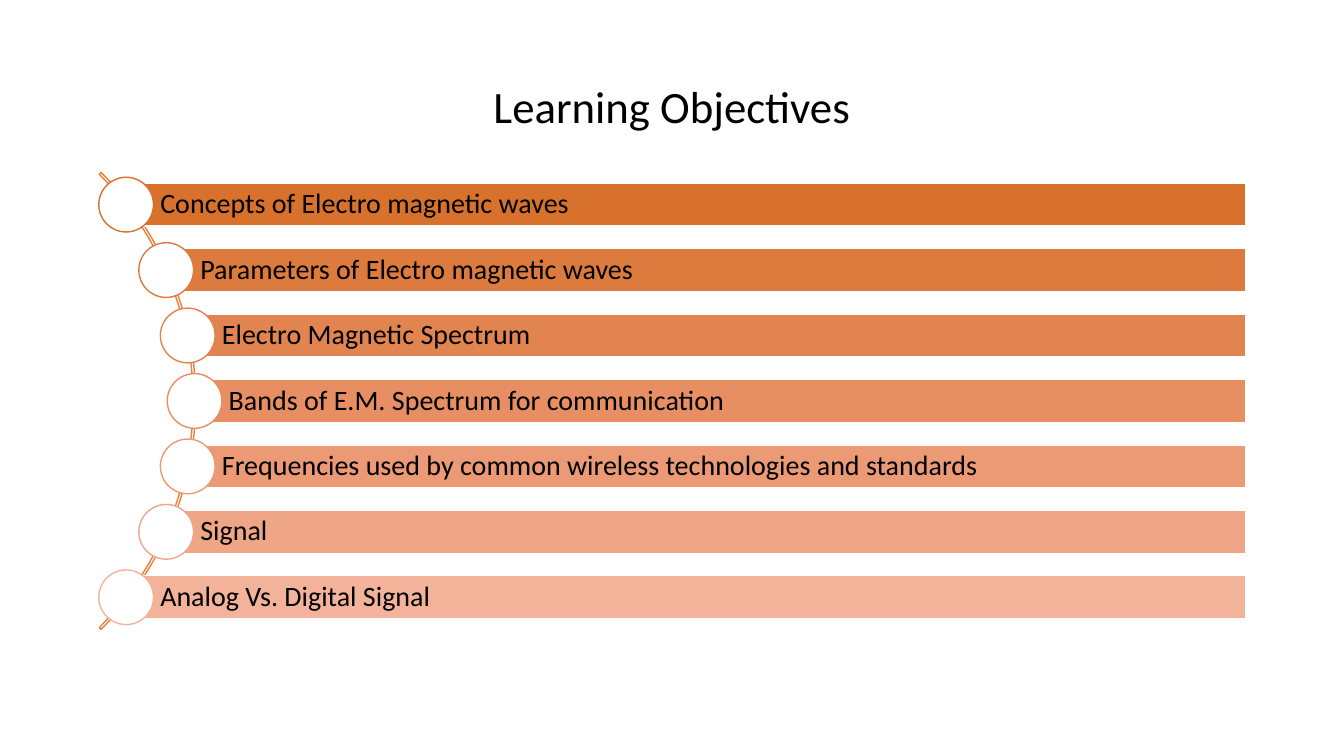
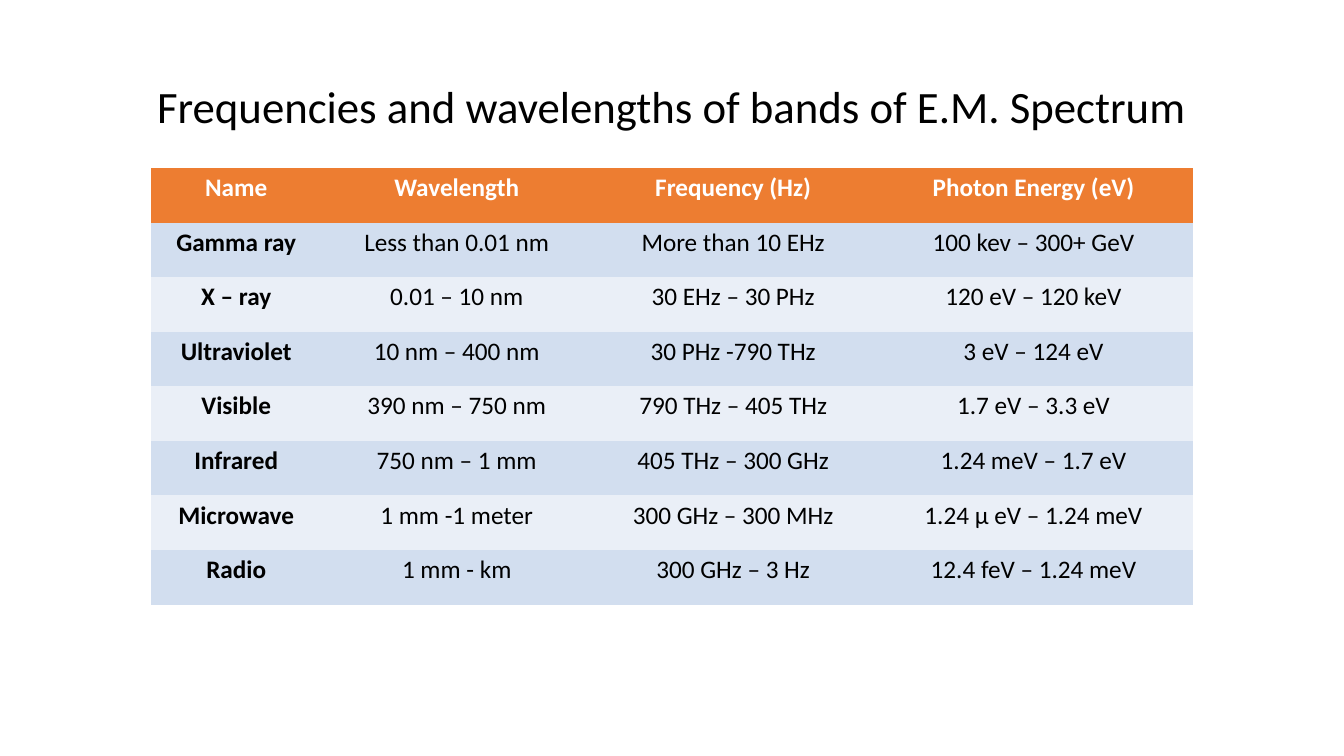
import math

import pptx
import pptx.util
import pptx.dml.color
import pptx.enum.shapes
import pptx.enum.text

Pt = pptx.util.Pt
SHAPE = pptx.enum.shapes.MSO_SHAPE
ALIGN = pptx.enum.text.PP_ALIGN
ANCHOR = pptx.enum.text.MSO_ANCHOR

FONT = "Calibri"
BLACK, WHITE = "000000", "FFFFFF"
ARC_LINE, HEADER = "ED7F39", "ED7D31"
BANDS = ("EAEFF7", "D2DEEF")
NO_STYLE = "{2D5ABB26-0587-4C30-8999-92F81FD0307C}"

TITLE_BOX = (66, 51, 828, 54)
LIST_BOX = (66, 122.8, 823.5, 327.2)
TABLE_BOX = (108, 120, 744, 312)

OBJECTIVES = [
    ("Concepts of Electro magnetic waves", "D7712C"),
    ("Parameters of Electro magnetic waves", "DD7B3E"),
    ("Electro Magnetic Spectrum", "E28450"),
    ("Bands of E.M. Spectrum for communication", "E78F62"),
    ("Frequencies used by common wireless technologies and standards", "EB9A75"),
    ("Signal", "EFA687"),
    ("Analog Vs. Digital Signal", "F3B39B"),
]
COLUMNS = (121.5, 193.5, 201.5, 227.5)
SPECTRUM = [
    ("Name", "Wavelength", "Frequency (Hz)", "Photon Energy (eV)"),
    ("Gamma ray", "Less than 0.01 nm", "More than 10 EHz", "100 kev – 300+ GeV"),
    ("X – ray", "0.01 – 10 nm", "30 EHz – 30 PHz", "120 eV – 120 keV"),
    ("Ultraviolet", "10 nm – 400 nm", "30 PHz -790 THz", "3 eV – 124 eV"),
    ("Visible", "390 nm – 750 nm", "790 THz – 405 THz", "1.7 eV – 3.3 eV"),
    ("Infrared", "750 nm – 1 mm", "405 THz – 300 GHz", "1.24 meV – 1.7 eV"),
    ("Microwave", "1 mm -1 meter", "300 GHz – 300 MHz", "1.24 µ eV – 1.24 meV"),
    ("Radio", "1 mm - km", "300 GHz – 3 Hz", "12.4 feV – 1.24 meV"),
]


def rgb(value):
    return pptx.dml.color.RGBColor.from_string(value)


def apply(obj, values):
    for name, value in values.items():
        setattr(obj, name, value)


def margins(left, top, right, bottom):
    sides = ("left", "top", "right", "bottom")
    return {f"margin_{side}": Pt(value)
            for side, value in zip(sides, (left, top, right, bottom))}


def write(tf, text, size, align, spacing, color=BLACK, bold=False):
    p = tf.paragraphs[0]
    apply(p, {"alignment": align, "line_spacing": spacing})
    r = p.add_run()
    r.text = text
    apply(r.font, {"name": FONT, "size": Pt(size), "bold": bold})
    r.font.color.rgb = rgb(color)


def add_shape(slide, kind, box, line, fill=None):
    sp = slide.shapes.add_shape(kind, *map(Pt, box))
    sp.shadow.inherit = False
    if fill:
        sp.fill.solid()
        sp.fill.fore_color.rgb = rgb(fill)
    else:
        sp.fill.background()
    sp.line.color.rgb = rgb(line)
    sp.line.width = Pt(1)
    return sp


def add_title(slide, text, box):
    tf = slide.shapes.add_textbox(*map(Pt, box)).text_frame
    apply(tf, {"word_wrap": True, "vertical_anchor": ANCHOR.MIDDLE})
    write(tf, text, 32, ALIGN.CENTER, 0.9)


def add_curved_list(slide, items, box):
    left, top, width, height = box
    pitch = height / len(items)
    bar_h, dot, curve = 30.7, 39.1, 225.5
    middle = top + height / 2
    arc_r = 230.8
    arc_x = left - 157
    arc = add_shape(slide, SHAPE.BLOCK_ARC,
                    (arc_x - arc_r, middle - arc_r, 2 * arc_r, 2 * arc_r), ARC_LINE)
    for i, value in enumerate((189, 27, 0.004)):
        arc.adjustments[i] = value
    for i, (text, color) in enumerate(items):
        y = top + (i + 0.5) * pitch
        x = left - 152.5 + math.sqrt(curve ** 2 - (y - middle) ** 2)
        bar = add_shape(slide, SHAPE.RECTANGLE,
                        (x, y - bar_h / 2, left + width - x, bar_h), WHITE, color)
        tf = bar.text_frame
        apply(tf, {"word_wrap": True, "vertical_anchor": ANCHOR.MIDDLE,
                   **margins(24.4, 4, 4, 4)})
        write(tf, text, 20, ALIGN.LEFT, 0.9)
        add_shape(slide, SHAPE.OVAL, (x - dot / 2, y - dot / 2, dot, dot), color, WHITE)


def add_spectrum_table(slide, rows, columns, box):
    frame = slide.shapes.add_table(len(rows), len(columns), *map(Pt, box))
    table = frame.table
    table._tbl.tblPr[0].text = NO_STYLE
    for column, width in zip(table.columns, columns):
        column.width = Pt(width)
    for i, row in enumerate(rows):
        table.rows[i].height = Pt(box[3] / len(rows))
        for j, text in enumerate(row):
            cell = table.cell(i, j)
            apply(cell, margins(5, 0, 5, 0))
            cell.fill.solid()
            cell.fill.fore_color.rgb = rgb(BANDS[i % 2] if i else HEADER)
            write(cell.text_frame, text, 18, ALIGN.CENTER, 1.15,
                  BLACK if i else WHITE, i == 0 or j == 0)


def add_slide(prs, title):
    slide = prs.slides.add_slide(prs.slide_layouts[6])
    add_title(slide, title, TITLE_BOX)
    return slide


def main():
    prs = pptx.Presentation()
    apply(prs, {"slide_width": Pt(960), "slide_height": Pt(540)})
    slide = add_slide(prs, "Learning Objectives")
    add_curved_list(slide, OBJECTIVES, LIST_BOX)
    slide = add_slide(prs, "Frequencies and wavelengths of bands of E.M. Spectrum")
    add_spectrum_table(slide, SPECTRUM, COLUMNS, TABLE_BOX)
    prs.save("out.pptx")


if __name__ == "__main__":
    main()
